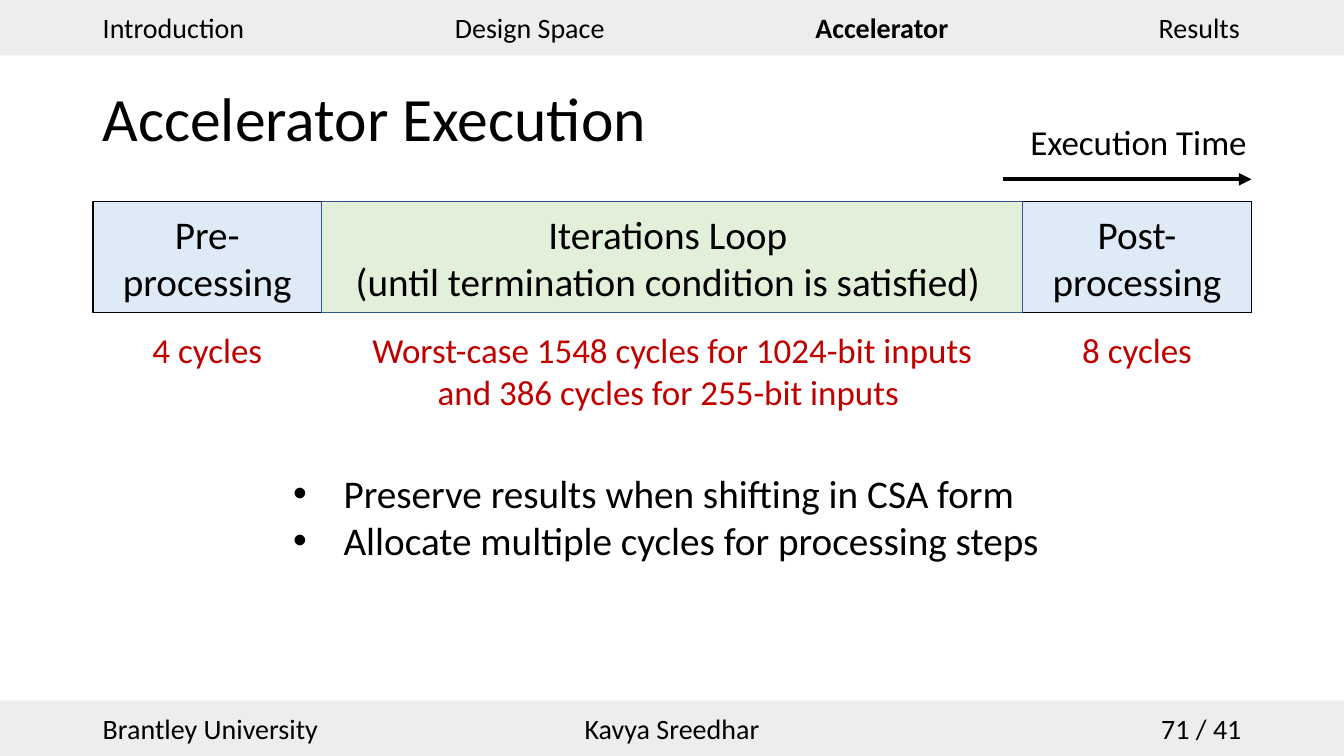
from dataclasses import dataclass

from lxml import etree
from pptx import Presentation
from pptx import util as u
from pptx.dml.color import RGBColor
from pptx.enum import shapes, text
from pptx.oxml import ns

LEFT, CENTER, RIGHT = text.PP_ALIGN.LEFT, text.PP_ALIGN.CENTER, text.PP_ALIGN.RIGHT
TOP, MIDDLE = text.MSO_ANCHOR.TOP, text.MSO_ANCHOR.MIDDLE


@dataclass(frozen=True)
class Theme:
    font: str = "Calibri"
    ink: str = "000000"
    accent: str = "C00000"
    band: str = "EDEDED"
    step: str = "DEEBF7"
    loop: str = "E2F0D9"
    loop_line: str = "325491"
    band_size: int = 20
    note_size: int = 25
    body_size: int = 28
    title_size: int = 44


@dataclass(frozen=True)
class Box:
    left: float
    top: float
    width: float
    height: float

    @property
    def right(self):
        return self.left + self.width

    def lengths(self):
        return [u.Cm(value) for value in (self.left, self.top, self.width, self.height)]


THEME = Theme()
SLIDE = Box(0, 0, 33.87, 19.05)
MARGIN = 2.34
CONTENT_WIDTH = 29.2


def write_text(shape, content, size=THEME.body_size, color=THEME.ink, bold=False,
               align=LEFT, anchor=TOP, wrap=True, spacing=None, bullet=False):
    frame = shape.text_frame
    frame.word_wrap = wrap
    frame.vertical_anchor = anchor
    frame.text = content
    for paragraph in frame.paragraphs:
        paragraph.alignment = align
        paragraph.line_spacing = spacing
        for run in paragraph.runs:
            run.font.name = THEME.font
            run.font.size = u.Pt(size)
            run.font.bold = bold
            run.font.color.rgb = RGBColor.from_string(color)
        if bullet:
            properties = paragraph._p.get_or_add_pPr()
            indent = u.Cm(1.27)
            properties.set("marL", str(indent))
            properties.set("indent", str(-indent))
            etree.SubElement(properties, ns.qn("a:buFont"), typeface="Arial")
            etree.SubElement(properties, ns.qn("a:buChar"), char="•")


def add_text(slide, box, content, **text_format):
    write_text(slide.shapes.add_textbox(*box.lengths()), content, **text_format)


def add_rectangle(slide, box, fill, line=None):
    shape = slide.shapes.add_shape(shapes.MSO_SHAPE.RECTANGLE, *box.lengths())
    shape.shadow.inherit = False
    shape.fill.solid()
    shape.fill.fore_color.rgb = RGBColor.from_string(fill)
    if line:
        shape.line.color.rgb = RGBColor.from_string(line)
        shape.line.width = u.Pt(1)
    else:
        shape.line.fill.background()
    return shape


def add_footer(slide, box):
    add_rectangle(slide, box, THEME.band)
    top = box.top + 0.15
    add_text(slide, Box(MARGIN, top, 6.05, 1.12), "Brantley University",
             size=THEME.band_size, wrap=False)
    add_text(slide, Box(box.left + (box.width - 4.95) / 2, top, 4.95, 1.12),
             "Kavya Sreedhar", size=THEME.band_size, align=CENTER, wrap=False)
    add_text(slide, Box(MARGIN + CONTENT_WIDTH - 7.62, top + 0.05, 7.62, 1.02), "71 / 41",
             size=THEME.band_size, align=RIGHT, anchor=MIDDLE)


def add_navigation(slide, box, current):
    add_rectangle(slide, box, THEME.band)
    sections = {"Introduction": 4.11, "Design Space": 4.32, "Accelerator": 3.89, "Results": 2.59}
    gap = (CONTENT_WIDTH - sum(sections.values())) / (len(sections) - 1)
    left = MARGIN
    for section, width in sections.items():
        add_text(slide, Box(left, box.top + 0.13, width, 1.12), section,
                 size=THEME.band_size, bold=section == current, wrap=False)
        left += width + gap


def add_time_arrow(slide, box):
    y = u.Cm(box.top + box.height)
    arrow = slide.shapes.add_connector(shapes.MSO_CONNECTOR.STRAIGHT,
                                       u.Cm(box.left), y, u.Cm(box.right), y)
    arrow.line.color.rgb = RGBColor.from_string(THEME.ink)
    arrow.line.width = u.Pt(3)
    etree.SubElement(arrow.line._get_or_add_ln(), ns.qn("a:tailEnd"), type="triangle")
    etree.SubElement(arrow._element.spPr, ns.qn("a:effectLst"))
    add_text(slide, Box(box.left - 0.63, box.top, 8.1, 1.4), "Execution Time",
             size=THEME.note_size, align=CENTER)


def add_timeline(slide, box):
    side = 5.77
    middle = box.width - 2 * side
    stages = [
        (0, side, "Pre-processing", THEME.step, THEME.ink, "4 cycles", 4.06),
        (side + middle, side, "Post-processing", THEME.step, THEME.ink, "8 cycles", 4.06),
        (side, middle, "Iterations Loop \n(until termination condition is satisfied) ",
         THEME.loop, THEME.loop_line,
         "Worst-case 1548 cycles for 1024-bit inputs and 386 cycles for 255-bit inputs ", 16.69),
    ]
    for offset, width, label, fill, line, cycles, cycles_width in stages:
        stage = Box(box.left + offset, box.top, width, box.height)
        write_text(add_rectangle(slide, stage, fill, line), label, align=CENTER, anchor=MIDDLE)
        cycles_left = stage.left + (width - cycles_width) / 2
        add_text(slide, Box(cycles_left, box.top + box.height + 0.28, cycles_width, 1.4),
                 cycles, size=THEME.note_size, color=THEME.accent, align=CENTER)


def add_execution_slide(presentation, box):
    slide = presentation.slides.add_slide(presentation.slide_layouts[6])
    band_height = 1.4
    add_footer(slide, Box(box.left, box.height - band_height, box.width, band_height))
    add_navigation(slide, Box(box.left, box.top, box.width, band_height), "Accelerator")
    add_text(slide, Box(MARGIN, 1.22, CONTENT_WIDTH, 3.68), "Accelerator Execution",
             size=THEME.title_size, anchor=MIDDLE, spacing=0.9)
    add_timeline(slide, Box(MARGIN, 5.08, CONTENT_WIDTH, 2.79))
    add_time_arrow(slide, Box(25.27, 2.92, 6.27, 1.6))
    add_text(slide, Box(7.14, 11.71, 19.56, 5.61),
             "Preserve results when shifting in CSA form\n"
             "Allocate multiple cycles for processing steps", bullet=True)


def main():
    presentation = Presentation()
    presentation.slide_width = u.Cm(SLIDE.width)
    presentation.slide_height = u.Cm(SLIDE.height)
    add_execution_slide(presentation, SLIDE)
    presentation.save("out.pptx")


if __name__ == "__main__":
    main()
